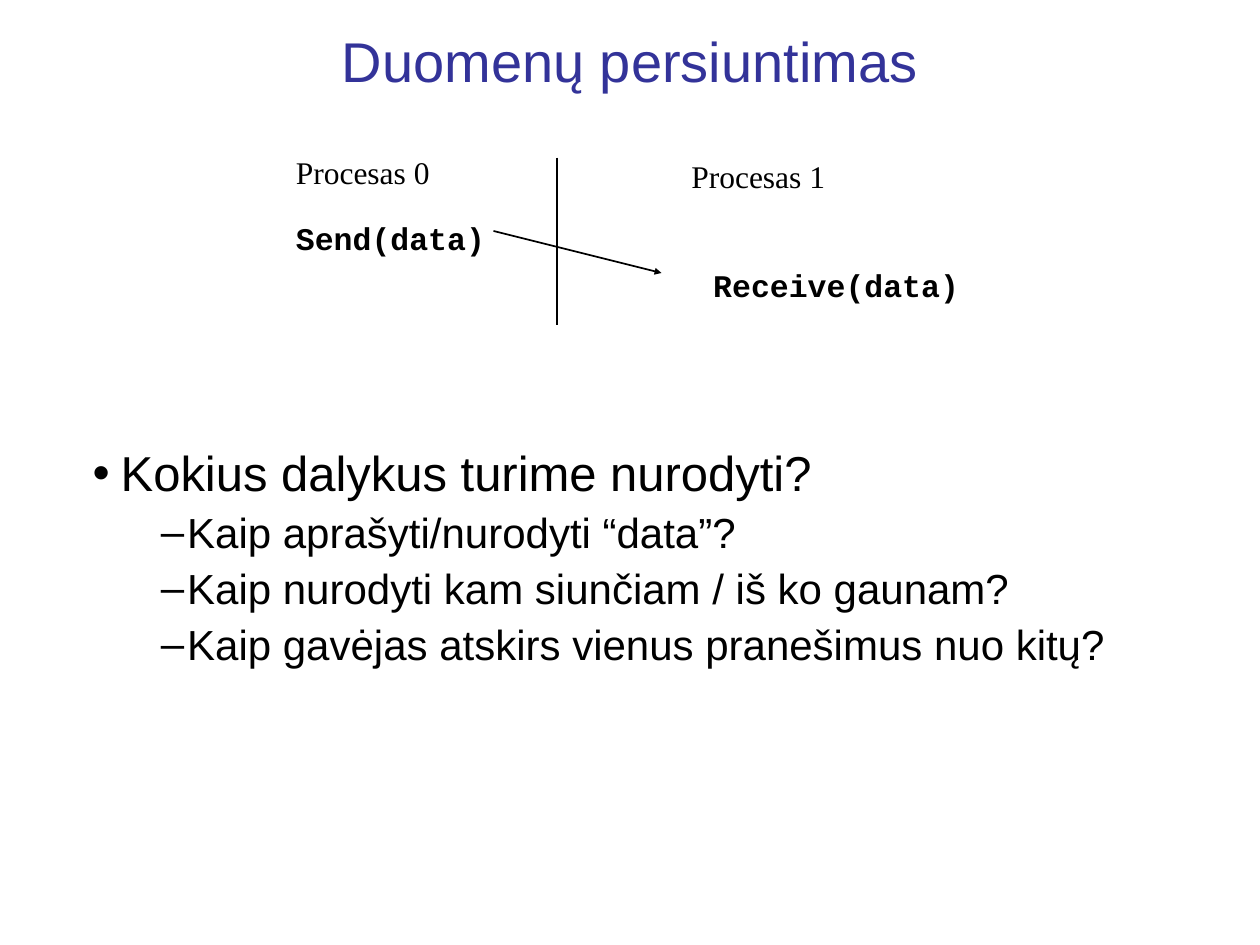
import pptx
import pptx.dml.color
import pptx.enum.shapes
import pptx.enum.text
import pptx.oxml.ns
import pptx.util
from lxml import etree

Pt = pptx.util.Pt
BLACK = "000000"
TITLE_BLUE = "333399"


def rgb(hex_colour):
    return pptx.dml.color.RGBColor.from_string(hex_colour)


def add_xml(parent, tag, **attributes):
    return etree.SubElement(parent, pptx.oxml.ns.qn(tag), attributes)


def set_font(paragraph, name, size, colour=BLACK, bold=False):
    paragraph.font.name = name
    paragraph.font.size = Pt(size)
    paragraph.font.bold = bold
    paragraph.font.color.rgb = rgb(colour)


def set_margins(frame, horizontal, vertical):
    frame.margin_left = frame.margin_right = Pt(horizontal)
    frame.margin_top = frame.margin_bottom = Pt(vertical)


def format_title(title, text):
    title.left, title.top, title.width, title.height = Pt(36), Pt(12), Pt(648), Pt(45)
    frame = title.text_frame
    frame.text = text
    frame.auto_size = pptx.enum.text.MSO_AUTO_SIZE.NONE
    frame.vertical_anchor = pptx.enum.text.MSO_ANCHOR.MIDDLE
    heading = frame.paragraphs[0]
    heading.alignment = pptx.enum.text.PP_ALIGN.CENTER
    set_font(heading, "Arial", 32, TITLE_BLUE)


def add_label(shapes, text, left, top, width, font, bold=False):
    frame = shapes.add_textbox(Pt(left), Pt(top), Pt(width), Pt(29)).text_frame
    set_margins(frame, 7.2, 3.6)
    frame.word_wrap = False
    frame.text = text
    set_font(frame.paragraphs[0], font, 18, bold=bold)


def add_line(shapes, start, end, arrow=False):
    line = shapes.add_connector(
        pptx.enum.shapes.MSO_CONNECTOR.STRAIGHT, *map(Pt, start + end))
    line.line.color.rgb = rgb(BLACK)
    line.line.width = Pt(1)
    if arrow:
        add_xml(line.line._get_or_add_ln(), "a:tailEnd",
                type="triangle", w="sm", len="sm")
    add_xml(line._element.spPr, "a:effectLst")


def add_bullet(paragraph, text, character, indent, hanging, size, level=0):
    paragraph.text = text
    paragraph.level = level
    paragraph.line_spacing = 0.9
    properties = paragraph._p.get_or_add_pPr()
    properties.set("marL", str(Pt(indent)))
    properties.set("indent", str(-Pt(hanging)))
    add_xml(add_xml(properties, "a:buClr"), "a:srgbClr", val=BLACK)
    add_xml(properties, "a:buFont", typeface="Arial")
    add_xml(properties, "a:buChar", char=character)
    set_font(paragraph, "Arial", size)


def add_questions(shapes, main_question, details):
    frame = shapes.add_textbox(Pt(48), Pt(254.5), Pt(630), Pt(132.5)).text_frame
    set_margins(frame, 5, 2)
    frame.word_wrap = True
    add_bullet(frame.paragraphs[0], main_question, "•", 16, 16, 28)
    for detail in details:
        paragraph = frame.add_paragraph()
        add_bullet(paragraph, detail, "–", 54, 15, 24, level=1)
        paragraph.space_before = Pt(6)


def add_message_diagram(shapes):
    diagram = shapes.add_group_shape().shapes
    add_label(diagram, "Procesas 0", 162, 84, 91, "Times New Roman")
    add_label(diagram, "Procesas 1", 388, 86, 91, "Times New Roman")
    add_line(diagram, (318.24, 90), (318.24, 186))
    add_label(diagram, "Send(data)", 162, 121.5, 126, "Courier New", bold=True)
    add_label(diagram, "Receive(data)", 400.5, 148.5, 158, "Courier New", bold=True)
    add_line(diagram, (282, 132), (378, 156), arrow=True)


def main():
    presentation = pptx.Presentation()
    presentation.slide_width, presentation.slide_height = Pt(720), Pt(540)
    slide = presentation.slides.add_slide(presentation.slide_layouts[5])
    format_title(slide.shapes.title, "Duomenų persiuntimas")
    add_questions(slide.shapes, "Kokius dalykus turime nurodyti?", [
        "Kaip aprašyti/nurodyti “data”?",
        "Kaip nurodyti kam siunčiam / iš ko gaunam?",
        "Kaip gavėjas atskirs vienus pranešimus nuo kitų?",
    ])
    add_message_diagram(slide.shapes)
    presentation.save("out.pptx")


if __name__ == "__main__":
    main()
